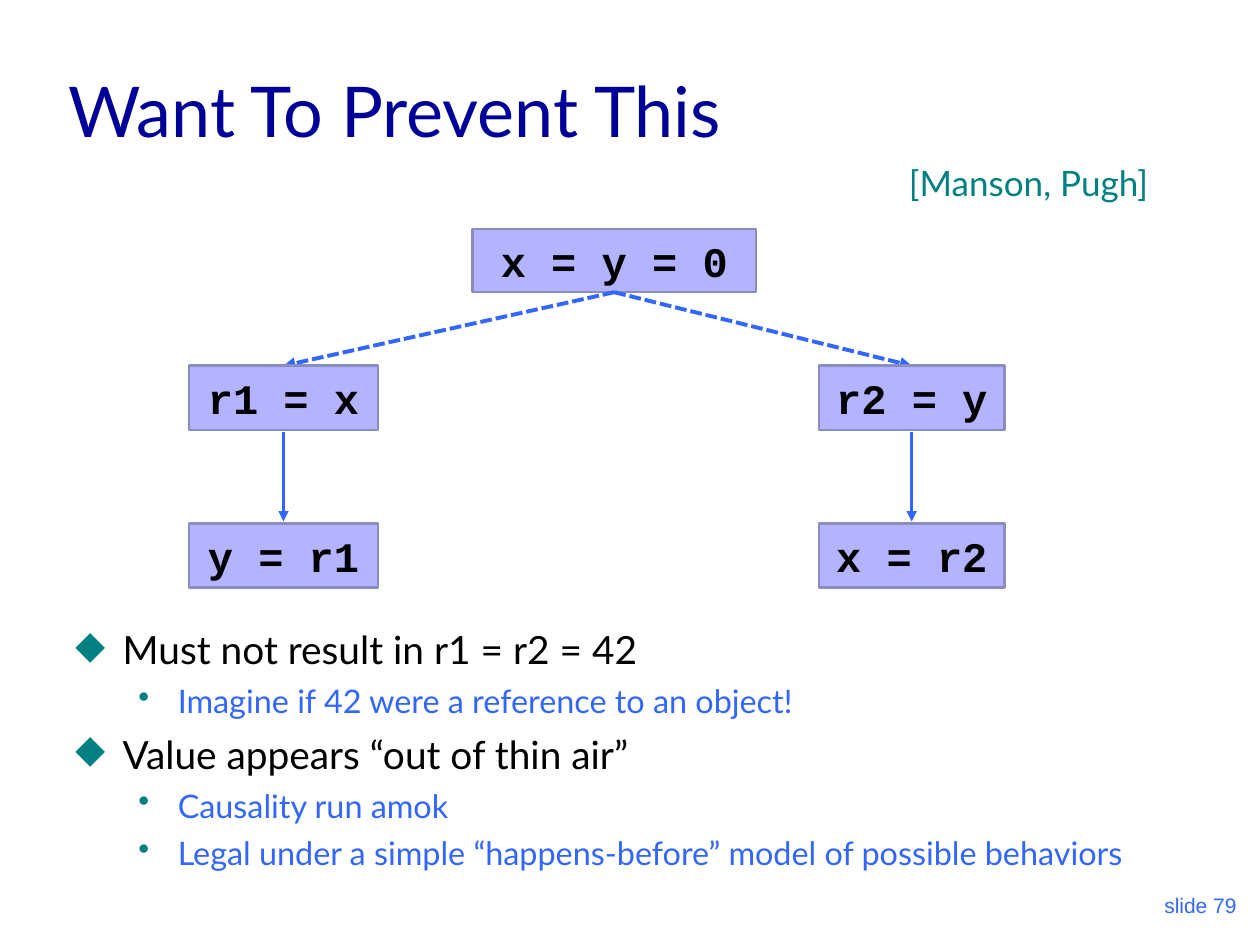
"""Build a slide on preventing out-of-thin-air values in a memory model."""
from dataclasses import dataclass

from lxml.etree import SubElement
from pptx import Presentation
from pptx.dml.color import RGBColor
from pptx.enum.dml import MSO_LINE
from pptx.enum.shapes import MSO_CONNECTOR, MSO_SHAPE
from pptx.enum.text import MSO_ANCHOR, PP_ALIGN
from pptx.oxml.ns import qn
from pptx.util import Pt


@dataclass(frozen=True)
class Theme:
    navy: str = "000099"
    blue: str = "3366FF"
    teal: str = "008080"
    black: str = "000000"
    white: str = "FFFFFF"
    lilac: str = "B3B3FF"
    edge: str = "898DBF"
    text_font: str = "Lato"
    code_font: str = "Courier New"
    number_font: str = "Arial"
    title_size: float = 40
    code_size: float = 24
    point_size: float = 22.2
    source_size: float = 20
    detail_size: float = 18.5
    number_size: float = 12


class SlideBuilder:
    def __init__(self, page, theme):
        self.page = page
        self.theme = theme

    def style(self, paragraph, size, color, font, bold=False):
        for span in paragraph.runs:
            span.font.size = Pt(size)
            span.font.name = font
            span.font.bold = bold
            span.font.color.rgb = RGBColor.from_string(color)

    def label(self, area, text, size, color, font, align=PP_ALIGN.LEFT):
        box = self.page.shapes.add_textbox(*map(Pt, area))
        frame = box.text_frame
        frame.word_wrap = True
        frame.vertical_anchor = MSO_ANCHOR.BOTTOM
        frame.text = text
        paragraph = frame.paragraphs[0]
        paragraph.alignment = align
        self.style(paragraph, size, color, font)

    def rectangle(self, area, text, size, color, font, fill, edge=None,
                  bold=False, anchor=MSO_ANCHOR.MIDDLE):
        box = self.page.shapes.add_shape(MSO_SHAPE.RECTANGLE, *map(Pt, area))
        box.shadow.inherit = False
        box.fill.solid()
        box.fill.fore_color.rgb = RGBColor.from_string(fill)
        if edge:
            box.line.color.rgb = RGBColor.from_string(edge)
            box.line.width = Pt(1.5)
        else:
            box.line.fill.background()
        frame = box.text_frame
        frame.word_wrap = False
        frame.vertical_anchor = anchor
        frame.text = text
        paragraph = frame.paragraphs[0]
        paragraph.alignment = PP_ALIGN.CENTER
        self.style(paragraph, size, color, font, bold)

    def statement(self, area, code):
        theme = self.theme
        self.rectangle(area, code, theme.code_size, theme.black,
                       theme.code_font, theme.lilac, theme.edge, bold=True)

    def arrow(self, start, end, width, dashed=False):
        connector = self.page.shapes.add_connector(
            MSO_CONNECTOR.STRAIGHT, *map(Pt, (*start, *end)))
        line = connector.line
        line.color.rgb = RGBColor.from_string(self.theme.blue)
        line.width = Pt(width)
        if dashed:
            line.dash_style = MSO_LINE.SQUARE_DOT
        SubElement(line._get_or_add_ln(), qn("a:tailEnd"), type="triangle")
        SubElement(connector._element.spPr, qn("a:effectLst"))

    def bullets(self, area, items):
        theme = self.theme
        levels = (
            ("◆", 27, -27, 6, theme.point_size, theme.black),
            ("•", 58.5, -22.5, 5, theme.detail_size, theme.blue),
        )
        frame = self.page.shapes.add_textbox(*map(Pt, area)).text_frame
        frame.word_wrap = True
        frame.text = "\n".join(text for _, text in items)
        for index, (level, _) in enumerate(items):
            mark, margin, indent, space, size, color = levels[level]
            paragraph = frame.paragraphs[index]
            properties = paragraph._p.get_or_add_pPr()
            properties.set("marL", str(Pt(margin)))
            properties.set("indent", str(Pt(indent)))
            bullet_color = SubElement(properties, qn("a:buClr"))
            SubElement(bullet_color, qn("a:srgbClr"), val=theme.teal)
            SubElement(properties, qn("a:buChar"), char=mark)
            paragraph.level = level
            if index:
                paragraph.space_before = Pt(space)
            self.style(paragraph, size, color, theme.text_font)


def main():
    deck = Presentation()
    deck.slide_width, deck.slide_height = Pt(720), Pt(540)
    theme = Theme()
    builder = SlideBuilder(deck.slides.add_slide(deck.slide_layouts[6]), theme)

    builder.label((563.75, 492, 150, 36), "slide 79", theme.number_size,
                  theme.blue, theme.number_font, PP_ALIGN.RIGHT)
    builder.label((32, 18, 664, 72), "Want To Prevent This", theme.title_size,
                  theme.navy, theme.text_font)
    builder.bullets((36, 354, 672, 168), (
        (0, "Must not result in r1 = r2 = 42"),
        (1, "Imagine if 42 were a reference to an object!"),
        (0, "Value appears “out of thin air”"),
        (1, "Causality run amok"),
        (1, "Legal under a simple “happens-before” model of possible behaviors"),
    ))

    read_top, write_top, height = 209, 299, 36.75
    builder.statement((270, 131, 162, 36), "x = y = 0")
    threads = (
        (108, 108, "r1 = x", "y = r1"),
        (468, 106, "r2 = y", "x = r2"),
    )
    for left, width, read, write in threads:
        center = left + width / 2
        builder.arrow((351, 167), (center, read_top), 2.25, dashed=True)
        builder.statement((left, read_top, width, height), read)
        builder.statement((left, write_top, width, height), write)
        builder.arrow((center, 247), (center, 298), 1.5)

    builder.rectangle((506, 88.5, 163.5, 31.5), "[Manson, Pugh]",
                      theme.source_size, theme.teal, theme.text_font,
                      theme.white, anchor=MSO_ANCHOR.TOP)
    deck.save("out.pptx")


if __name__ == "__main__":
    main()
